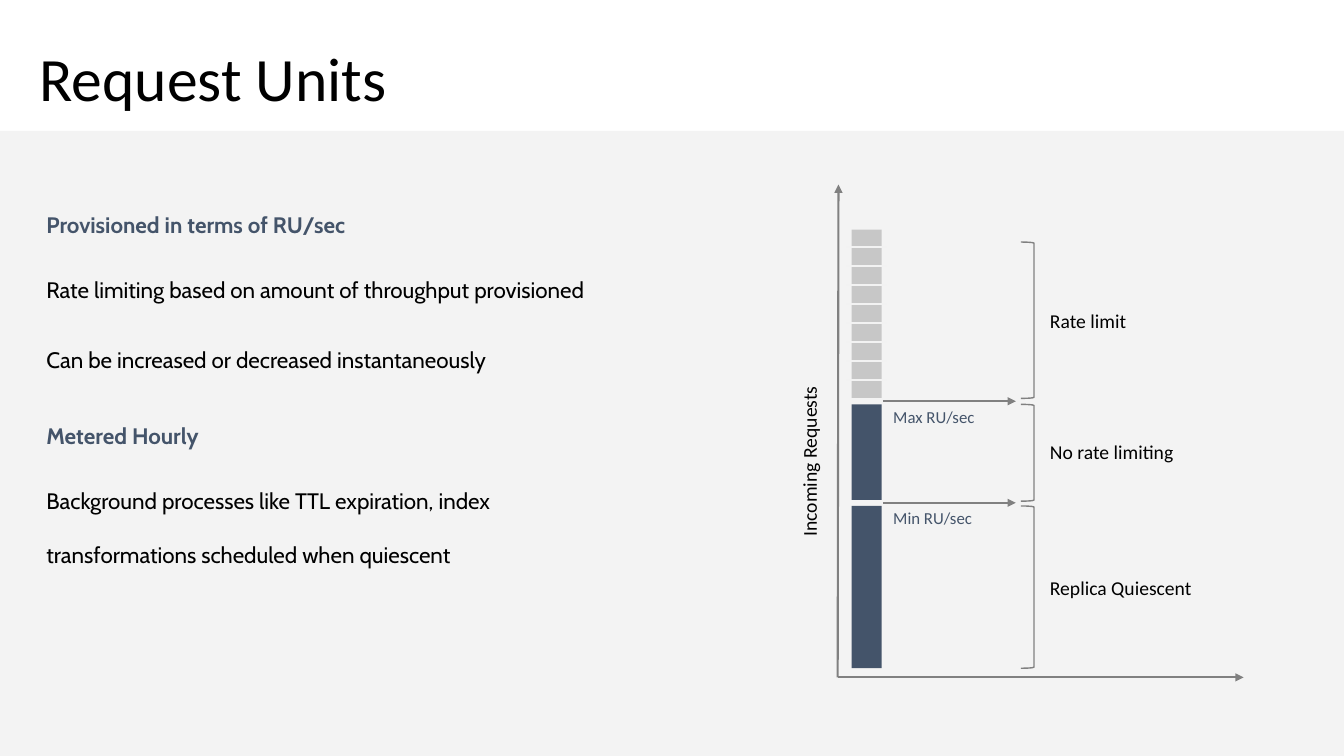
from lxml.etree import SubElement
from pptx import Presentation
from pptx.dml.color import RGBColor
from pptx.enum.shapes import MSO_CONNECTOR, MSO_SHAPE as Shape
from pptx.enum.text import MSO_ANCHOR as Anchor, MSO_AUTO_SIZE as AutoSize, PP_ALIGN as Align
from pptx.oxml.ns import qn
from pptx.util import Cm, Pt

BLACK = RGBColor(0x00, 0x00, 0x00)
NAVY = RGBColor(0x44, 0x54, 0x6A)
GRAY = RGBColor(0x80, 0x80, 0x80)
SILVER = RGBColor(0xC7, 0xC7, 0xC7)
PALE = RGBColor(0xF2, 0xF2, 0xF2)

BODY = [
    ("Provisioned in terms of RU/sec", 0),
    ("Rate limiting based on amount of throughput provisioned", 1),
    ("Can be increased or decreased instantaneously", 1),
    ("Metered Hourly", 0),
    ("Background processes like TTL expiration, index transformations scheduled when quiescent", 1),
]
BARS = [(5.79, 4.24, SILVER), (10.19, 2.41, NAVY), (12.75, 4.09, NAVY)]
ZONES = [
    (6.1, 3.94, "Rate limit", 7.65),
    (10.19, 2.44, "No rate limiting", 10.97),
    (12.75, 4.09, "Replica Quiescent", 14.38),
]
LIMITS = [("Max RU/sec", 10.11), ("Min RU/sec", 12.67)]
DIVIDER_COUNT, DIVIDER_TOP, DIVIDER_STEP = 8, 6.22, 0.48


def place(item, left, top, width, height):
    item.left, item.top, item.width, item.height = Cm(left), Cm(top), Cm(width), Cm(height)


def add_span(para, text, font, size, color, bold=False):
    span = para.add_run()
    span.text = text
    span.font.name = font
    span.font.size = Pt(size)
    span.font.bold = bold
    span.font.color.rgb = color


def add_label(page, text, left, top, width, height, size=14, color=BLACK, align=Align.LEFT):
    box = page.shapes.add_textbox(Cm(left), Cm(top), Cm(width), Cm(height))
    box.text_frame.word_wrap = True
    box.text_frame.auto_size = AutoSize.SHAPE_TO_FIT_TEXT
    para = box.text_frame.paragraphs[0]
    para.alignment = align
    add_span(para, text, "Calibri", size, color)
    return box


def add_block(page, left, top, width, height, color):
    block = page.shapes.add_shape(Shape.RECTANGLE, Cm(left), Cm(top), Cm(width), Cm(height))
    block.shadow.inherit = False
    block.fill.solid()
    block.fill.fore_color.rgb = color
    block.line.fill.background()
    return block


def add_bracket(page, left, top, width, height):
    bracket = page.shapes.add_shape(Shape.RIGHT_BRACKET, Cm(left), Cm(top), Cm(width), Cm(height))
    bracket.shadow.inherit = False
    bracket.fill.background()
    bracket.line.color.rgb = GRAY
    bracket.line.width = Pt(1)


def add_line(page, start, end, color, arrow=False):
    points = [Cm(value) for value in (*start, *end)]
    line = page.shapes.add_connector(MSO_CONNECTOR.STRAIGHT, *points)
    line.line.color.rgb = color
    line.line.width = Pt(1.5)
    if arrow:
        SubElement(line.line._get_or_add_ln(), qn("a:tailEnd"), type="triangle")
    SubElement(line._element.spPr, qn("a:effectLst"))


def add_panel(page):
    panel = add_block(page, 0, 3.3, 33.87, 15.75, PALE)
    tint = panel._element.spPr.find(qn("a:solidFill"))[0]
    SubElement(tint, qn("a:alpha"), val="89000")
    page.shapes._spTree.insert(2, panel._element)


def fill_title(title):
    place(title, 0.74, 0.81, 32.39, 2.49)
    title.text_frame.vertical_anchor = Anchor.MIDDLE
    para = title.text_frame.paragraphs[0]
    para.alignment = Align.LEFT
    para.line_spacing = 0.9
    add_span(para, "Request Units", "Calibri", 44, BLACK)


def fill_body(body):
    place(body, 0.76, 4.39, 15.8, 10.08)
    frame = body.text_frame
    frame.auto_size = AutoSize.SHAPE_TO_FIT_TEXT
    frame.vertical_anchor = Anchor.TOP
    frame.margin_left = frame.margin_right = Cm(0.41)
    frame.margin_top = frame.margin_bottom = Cm(0.25)
    for index, (text, level) in enumerate(BODY):
        para = frame.add_paragraph() if index else frame.paragraphs[0]
        para.level = level
        para.line_spacing = 2.0
        para.space_before = Pt(8 if level else 12)
        para.space_after = Pt(4 if level else 0)
        layout = para._p.get_or_add_pPr()
        layout.set("marL", "0")
        layout.set("indent", "0")
        SubElement(layout, qn("a:buNone"))
        add_span(para, text, "Cabin", 16, BLACK if level else NAVY, bold=not level)


def add_request_diagram(page):
    for top, height, color in BARS:
        add_block(page, 21.46, top, 0.76, height, color)
    for index in range(DIVIDER_COUNT):
        y = DIVIDER_TOP + index * DIVIDER_STEP
        add_line(page, (21.33, y), (22.35, y), PALE)
    for text, y in LIMITS:
        add_line(page, (22.25, y), (25.6, y), GRAY, arrow=True)
        add_label(page, text, 22.26, y + 0.01, 3.12, 0.76, size=12, color=NAVY)
    for top, height, text, label_top in ZONES:
        add_bracket(page, 25.73, top, 0.33, height)
        add_label(page, text, 26.21, label_top, 5.11, 0.86)
    origin = (21.11, 17.07)
    add_line(page, origin, (21.13, 4.65), GRAY, arrow=True)
    add_line(page, origin, (31.34, 17.07), GRAY, arrow=True)
    axis_label = add_label(page, "Incoming Requests", 16.92, 11.2, 6.96, 0.86, align=Align.CENTER)
    axis_label.rotation = 270


def main():
    deck = Presentation()
    deck.slide_width, deck.slide_height = Cm(33.87), Cm(19.05)
    page = deck.slides.add_slide(deck.slide_layouts[1])
    fill_title(page.shapes.title)
    fill_body(page.placeholders[1])
    add_panel(page)
    add_request_diagram(page)
    deck.save("out.pptx")


if __name__ == "__main__":
    main()
